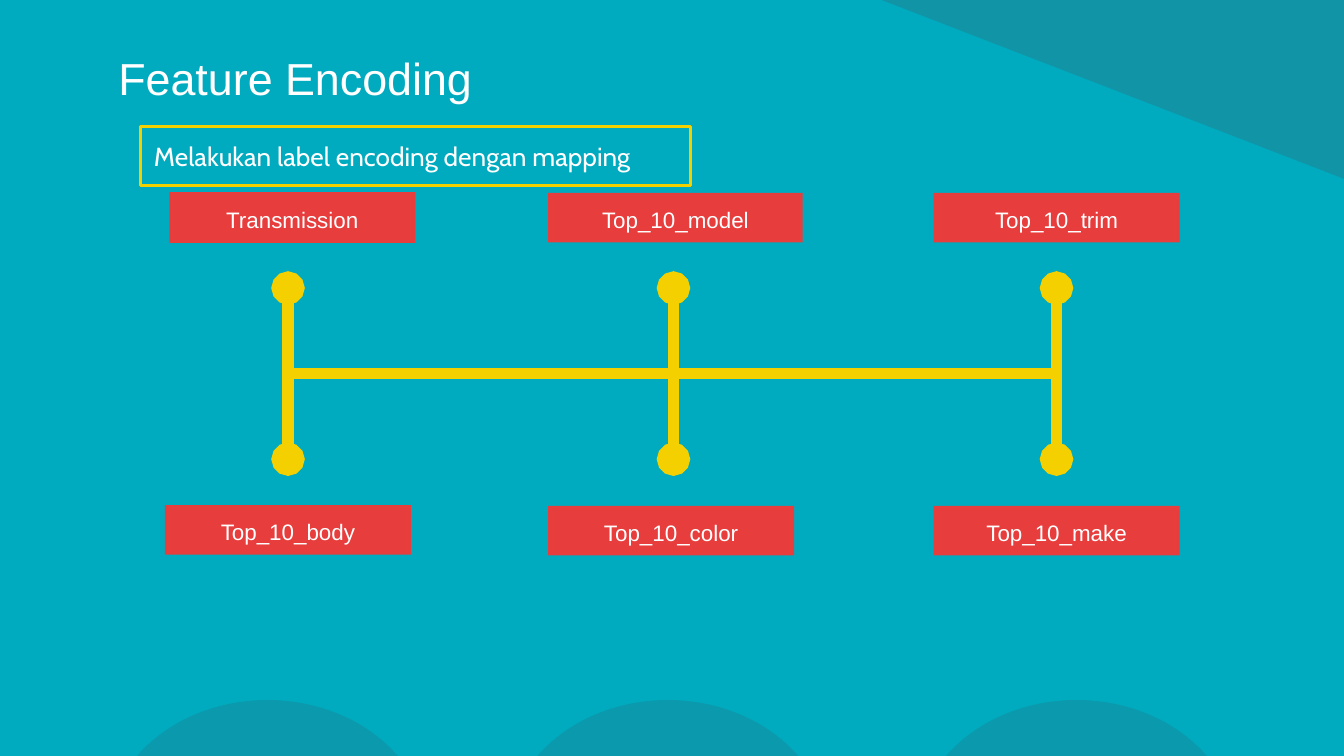
from lxml.etree import SubElement
from pptx import Presentation
from pptx.dml.color import RGBColor
from pptx.enum.shapes import MSO_CONNECTOR as CONN, MSO_SHAPE as SHAPE
from pptx.enum.text import MSO_ANCHOR as ANCHOR, MSO_AUTO_SIZE as FIT, PP_ALIGN as ALIGN
from pptx.oxml.ns import qn
from pptx.util import Pt

TEAL = RGBColor(0x00, 0xAB, 0xBF)
SLATE = RGBColor(0x33, 0x65, 0x74)
RED = RGBColor(0xE8, 0x3D, 0x3D)
YELLOW = RGBColor(0xF4, 0xD0, 0x00)
WHITE = RGBColor(0xFF, 0xFF, 0xFF)

INSET = 7.2
LABEL_W, LABEL_H = 131.8, 26.6
TOP_Y, MID_Y, BOTTOM_Y = 154.3, 200, 246

# Each column: x of the bar, then (text, left, top, width, height) of its labels
COLUMNS = [
    (154.3, [("Transmission", 90.7, 103, LABEL_W, 27.2),
             ("Top_10_body", 88.4, 270.6, LABEL_W, LABEL_H)]),
    (360.8, [("Top_10_model", 293.7, 103.3, 136.4, LABEL_H),
             ("Top_10_color", 293.7, 271, LABEL_W, LABEL_H)]),
    (566, [("Top_10_trim", 500.2, 103.3, LABEL_W, LABEL_H),
           ("Top_10_make", 500.2, 271, LABEL_W, LABEL_H)]),
]


class Deck:
    def __init__(self, width, height):
        self.prs = Presentation()
        self.prs.slide_width, self.prs.slide_height = Pt(width), Pt(height)
        self.slide = self.prs.slides.add_slide(self.prs.slide_layouts[5])
        fill = self.slide.background.fill
        fill.solid()
        fill.fore_color.rgb = TEAL

    def set_text(self, sp, text, size, font="Arial", align=ALIGN.LEFT, anchor=ANCHOR.TOP):
        tf = sp.text_frame
        frame = dict(word_wrap=True, auto_size=FIT.NONE, vertical_anchor=anchor)
        frame.update({f"margin_{side}": Pt(INSET)
                      for side in ("left", "top", "right", "bottom")})
        for name, value in frame.items():
            setattr(tf, name, value)
        p = tf.paragraphs[0]
        p.alignment = align
        r = p.add_run()
        r.text = text
        for name, value in dict(name=font, size=Pt(size), bold=False).items():
            setattr(r.font, name, value)
        r.font.color.rgb = WHITE

    def title(self, text, *box):
        sp = self.slide.shapes.title
        sp.left, sp.top, sp.width, sp.height = map(Pt, box)
        self.set_text(sp, text, 24, anchor=ANCHOR.MIDDLE)

    def shape(self, kind, color, *box, opacity=100):
        sp = self.slide.shapes.add_shape(kind, *map(Pt, box))
        sp.shadow.inherit = False
        sp.fill.solid()
        sp.fill.fore_color.rgb = color
        sp.line.fill.background()
        if opacity < 100:
            solid = sp._element.spPr.find(qn("a:solidFill"))
            SubElement(solid[0], qn("a:alpha"), val=str(opacity * 1000))
        return sp

    def label(self, text, *box):
        sp = self.shape(SHAPE.RECTANGLE, RED, *box)
        self.set_text(sp, text, 12, align=ALIGN.CENTER)

    def caption(self, text, *box):
        sp = self.slide.shapes.add_textbox(*map(Pt, box))
        sp.line.color.rgb = YELLOW
        sp.line.width = Pt(1.5)
        self.set_text(sp, text, 14, font="Cabin")

    def bar(self, x1, y1, x2, y2, dots=False):
        """Draw a thick line, with a round dot at each end if asked."""
        line = self.slide.shapes.add_connector(CONN.STRAIGHT, *map(Pt, (x1, y1, x2, y2)))
        line.line.color.rgb = YELLOW
        line.line.width = Pt(6)
        spPr = line._element.spPr
        if dots:
            ln = spPr.find(qn("a:ln"))
            for end in ("a:headEnd", "a:tailEnd"):
                SubElement(ln, qn(end), type="oval", w="med", len="med")
        SubElement(spPr, qn("a:effectLst"))


def main():
    deck = Deck(720, 405)
    corner = deck.shape(SHAPE.RIGHT_TRIANGLE, SLATE, 472.3, 0, 247.7, 95.8, opacity=32)
    corner.rotation = 180
    for x in (56.9, 271.4, 490.3):
        deck.shape(SHAPE.OVAL, SLATE, x, 375, 172.8, 145.4, opacity=23)

    deck.title("Feature Encoding", 56.2, 18.9, 607.6, 45.4)
    for x, labels in COLUMNS:
        for text, *box in labels:
            deck.label(text, *box)
        deck.bar(x, TOP_Y, x, BOTTOM_Y, dots=True)
    deck.bar(156.2, MID_Y, COLUMNS[-1][0], MID_Y)
    deck.caption("Melakukan label encoding dengan mapping", 75.4, 67.8, 294.6, 31.6)
    deck.prs.save("out.pptx")


if __name__ == "__main__":
    main()
